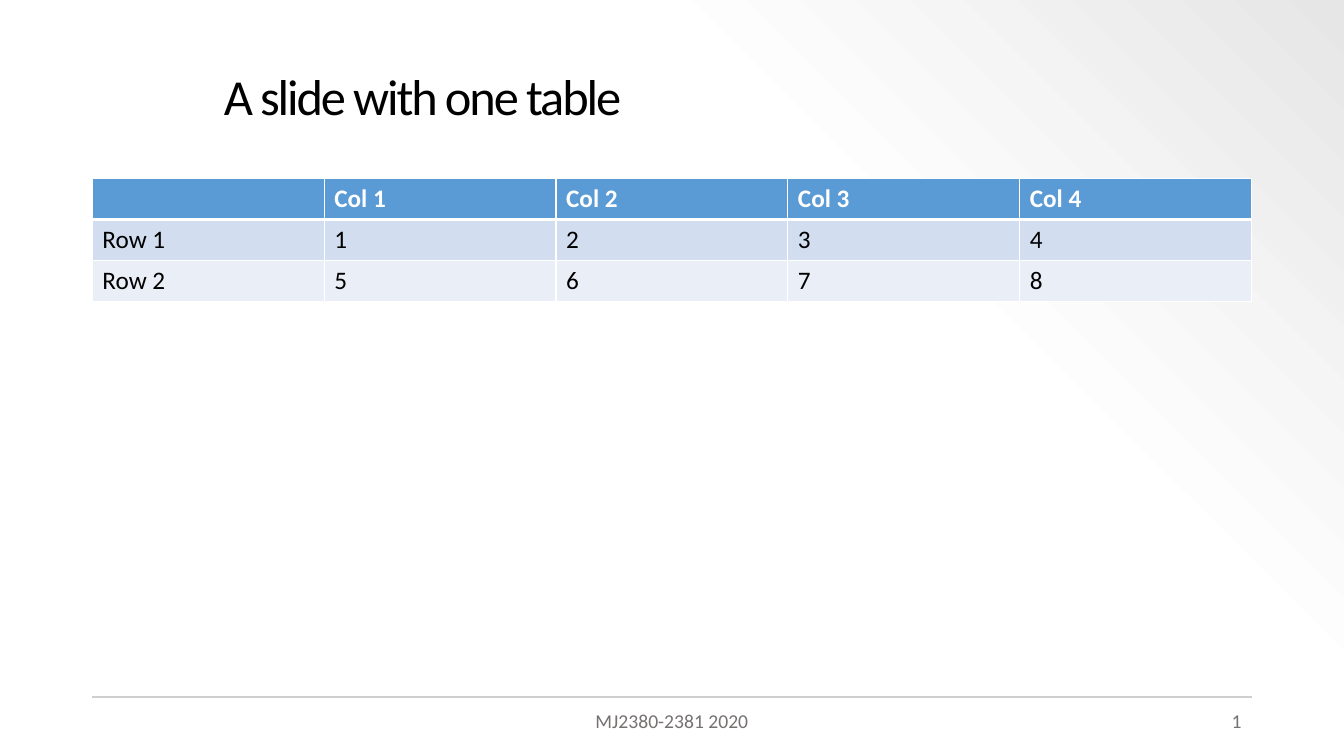
from lxml import etree
from pptx import Presentation
from pptx.dml.color import RGBColor
from pptx.enum.shapes import MSO_CONNECTOR
from pptx.enum.text import MSO_ANCHOR, PP_ALIGN
from pptx.oxml import parse_xml
from pptx.oxml.ns import nsdecls, qn
from pptx.util import Pt

LEFT, RIGHT, CENTER = PP_ALIGN.LEFT, PP_ALIGN.RIGHT, PP_ALIGN.CENTER
MIDDLE = MSO_ANCHOR.MIDDLE
STRAIGHT = MSO_CONNECTOR.STRAIGHT

FONT = "Calibri"
BLACK = RGBColor(0x00, 0x00, 0x00)
WHITE = RGBColor(0xFF, 0xFF, 0xFF)
PALE = RGBColor(0xFD, 0xFD, 0xFD)
SILVER = RGBColor(0xE7, 0xE6, 0xE6)
RULE = RGBColor(0xD0, 0xCE, 0xCE)
GRAY = RGBColor(0x76, 0x71, 0x71)
BLUE = RGBColor(0x5B, 0x9B, 0xD5)
BANDS = [RGBColor(0xD2, 0xDE, 0xEF), RGBColor(0xEA, 0xEF, 0xF7)]

EDGE, WIDE = 66, 828
ROWS = [
    ["", "Col 1", "Col 2", "Col 3", "Col 4"],
    ["Row 1", "1", "2", "3", "4"],
    ["Row 2", "5", "6", "7", "8"],
]


def style(font, size, color, bold=False):
    """Set the face, size, colour and weight of a font."""
    font.name, font.size, font.bold = FONT, Pt(size), bold
    font.color.rgb = color


def paint_back(slide):
    """Fill the background with a gradient that darkens to the top right."""
    slide.background.fill.gradient()
    grad = slide.background._cSld.find(".//" + qn("a:gradFill"))
    fresh = parse_xml(
        f'<a:gradFill {nsdecls("a")} rotWithShape="1"><a:gsLst>'
        f'<a:gs pos="0"><a:srgbClr val="{WHITE}"/></a:gs>'
        f'<a:gs pos="69000"><a:srgbClr val="{PALE}"/></a:gs>'
        f'<a:gs pos="100000"><a:srgbClr val="{SILVER}">'
        '<a:alpha val="50000"/></a:srgbClr></a:gs>'
        '</a:gsLst><a:lin ang="18900000" scaled="0"/></a:gradFill>'
    )
    grad.getparent().replace(grad, fresh)


def add_title(slide, text):
    """Place and format the title."""
    title = slide.shapes.title
    title.left, title.top = Pt(152.64), Pt(26.64)
    title.width, title.height = Pt(741.6), Pt(87.84)
    frame = title.text_frame
    frame.text, frame.vertical_anchor = text, MIDDLE
    para = frame.paragraphs[0]
    para.alignment, para.line_spacing = LEFT, 0.9
    style(para.font, 36, BLACK)
    para.runs[0].font._element.set("spc", "-150")


def add_rule(slide, top):
    """Draw the line above the footer."""
    line = slide.shapes.add_connector(
        STRAIGHT, Pt(EDGE), Pt(top), Pt(EDGE + WIDE), Pt(top))
    line.line.color.rgb, line.line.width = RULE, Pt(1.5)
    etree.SubElement(line._element.spPr, qn("a:effectLst"))


def add_note(slide, left, width, text, align):
    """Add a footer text and return its paragraph."""
    box = slide.shapes.add_textbox(Pt(left), Pt(500.4), Pt(width), Pt(28.8))
    frame = box.text_frame
    frame.word_wrap, frame.vertical_anchor = True, MIDDLE
    para = frame.paragraphs[0]
    para.text, para.alignment = text, align
    style(para.font, 14, GRAY)
    return para


def add_number(slide, left, width):
    """Add the slide number as a field."""
    para = add_note(slide, left, width, "", RIGHT)
    para._p.append(parse_xml(
        f'<a:fld {nsdecls("a")} type="slidenum" '
        'id="{B6F15528-21DE-4FAA-801E-634DDDAF4B2B}">'
        f'<a:rPr lang="en-US" sz="1400"><a:solidFill><a:srgbClr val="{GRAY}"/>'
        f'</a:solidFill><a:latin typeface="{FONT}"/></a:rPr>'
        '<a:t>1</a:t></a:fld>'
    ))


def add_edges(cell, top, bottom):
    """Give a cell white borders."""
    props = cell._tc.get_or_add_tcPr()
    for side, width in zip("LRTB", (1, 1, top, bottom)):
        props.append(parse_xml(
            f'<a:ln{side} {nsdecls("a")} w="{Pt(width)}"><a:solidFill>'
            f'<a:srgbClr val="{WHITE}"/></a:solidFill></a:ln{side}>'
        ))


def add_grid(slide, rows):
    """Add the table with a blue header and banded rows."""
    count, high = len(rows[0]), 29.2
    table = slide.shapes.add_table(
        len(rows), count, Pt(EDGE), Pt(127.5), Pt(WIDE), Pt(high * len(rows))
    ).table
    for col in table.columns:
        col.width = Pt(WIDE / count)
    for i, row in enumerate(rows):
        head = i == 0
        table.rows[i].height = Pt(high)
        for j, text in enumerate(row):
            cell = table.cell(i, j)
            cell.text = text
            style(cell.text_frame.paragraphs[0].font, 18,
                  WHITE if head else BLACK, head)
            add_edges(cell, 3 if i == 1 else 1, 3 if head else 1)
            cell.fill.solid()
            cell.fill.fore_color.rgb = BLUE if head else BANDS[(i - 1) % 2]


def main():
    """Build the slide and save it."""
    deck = Presentation()
    deck.slide_width, deck.slide_height = Pt(960), Pt(540)
    slide = deck.slides.add_slide(deck.slide_layouts[5])
    paint_back(slide)
    add_rule(slide, 498)
    add_grid(slide, ROWS)
    add_note(slide, 318, 324, "MJ2380-2381 2020", CENTER)
    add_number(slide, 678, 216)
    add_title(slide, "A slide with one table")
    deck.save("out.pptx")


if __name__ == "__main__":
    main()
